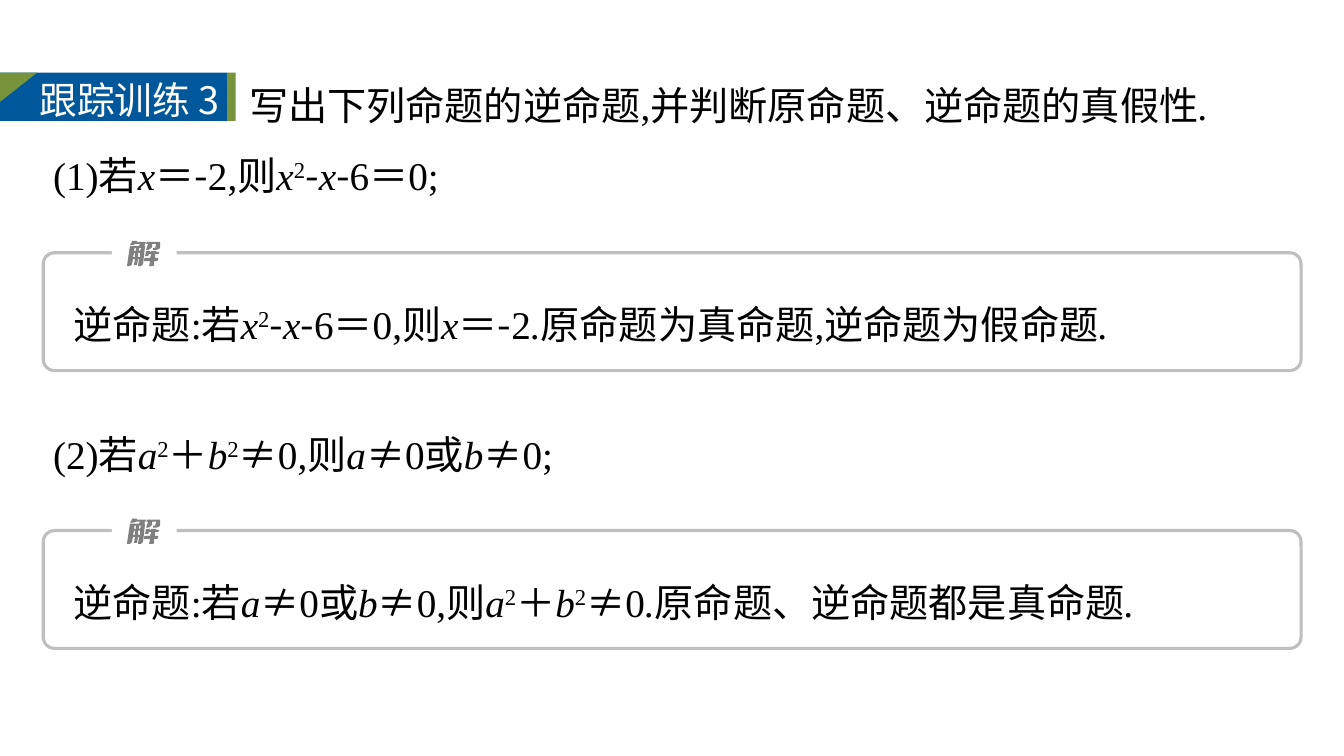
import itertools
from dataclasses import dataclass

import pptx
import pptx.dml.color
import pptx.enum.shapes
import pptx.enum.text
import pptx.oxml.ns
import pptx.util
from pptx.util import Cm

SHAPES = pptx.enum.shapes.MSO_SHAPE
CJK_FONT = "Noto Sans CJK SC"
LATIN_FONT = "Times New Roman"
BLUE, GREEN, WHITE, BLACK = "00589A", "77933C", "FFFFFF", "000000"
FRAME_GRAY, GLYPH_GRAY = "BFBFBF", "808080"

JIE_STROKES = [
    [(11, 12), (11, 16), (13, 16), (13, 12)],
    [(7, 12), (6, 16), (8, 16), (8, 12)],
    [(25, 10), (29, 10), (29, 11), (32, 11), (32, 12), (31, 13), (28, 13),
     (28, 17), (31, 17), (31, 19), (30, 20), (27, 20), (27, 24), (26, 25),
     (22, 25), (23, 20), (17, 20), (17, 18), (18, 17), (23, 17), (24, 13),
     (22, 13), (21, 15), (18, 15), (19, 10), (23, 10), (23, 11), (24, 11),
     (24, 10)],
    [(12, 7), (12, 10), (13, 10), (14, 7)],
    [(20, 1), (33, 1), (33, 6), (32, 8), (29, 9), (26, 9), (26, 7), (28, 7),
     (29, 3), (25, 3), (25, 6), (23, 8), (21, 9), (19, 9), (21, 3), (19, 3)],
    [(5, 0), (10, 0), (10, 1), (19, 1), (17, 5), (18, 5), (16, 23), (15, 24),
     (14, 25), (11, 25), (12, 18), (11, 18), (10, 24), (7, 24), (8, 18),
     (6, 18), (5, 23), (4, 24), (3, 25), (0, 25), (3, 5), (8, 5), (7, 10),
     (9, 10), (9, 7), (8, 7), (8, 5), (12, 5), (13, 3), (9, 3), (6, 4),
     (3, 4), (5, 1)],
]


@dataclass(frozen=True)
class Box:
    left: float
    top: float
    width: float
    height: float

    def lengths(self) -> tuple:
        return Cm(self.left), Cm(self.top), Cm(self.width), Cm(self.height)


@dataclass(frozen=True)
class Passage:
    box: Box
    lines: tuple
    first_indent: float = 0


@dataclass(frozen=True)
class BannerPart:
    preset: object
    box: Box
    color: str


@dataclass(frozen=True)
class Solution:
    top: float
    text: str


QUESTIONS = [
    Passage(Box(1.09, 1.32, 31.7, 3.63),
            ("写出下列命题的逆命题,并判断原命题、逆命题的真假性.",
             "(1)若x＝-2,则x²-x-6＝0;"), 4.94),
    Passage(Box(1.09, 10.13, 31.7, 1.85), ("(2)若a²＋b²≠0,则a≠0或b≠0;",)),
]
BANNER = [
    BannerPart(SHAPES.RECTANGLE, Box(0, 1.83, 5.74, 1.22), BLUE),
    BannerPart(SHAPES.RIGHT_TRIANGLE, Box(0, 1.83, 0.94, 0.74), GREEN),
    BannerPart(SHAPES.RECTANGLE, Box(5.74, 1.83, 0.2, 1.22), GREEN),
]
SOLUTIONS = [
    Solution(6.37, "逆命题:若x²-x-6＝0,则x＝-2.原命题为真命题,逆命题为假命题."),
    Solution(13.37, "逆命题:若a≠0或b≠0,则a²＋b²≠0.原命题、逆命题都是真命题."),
]


def rgb(value: str):
    return pptx.dml.color.RGBColor.from_string(value)


def fill_shape(shape, color: str) -> None:
    shape.shadow.inherit = False
    shape.fill.solid()
    shape.fill.fore_color.rgb = rgb(color)
    shape.line.fill.background()


def format_run(run, size: float, color: str, font: str) -> None:
    run.font.size = pptx.util.Pt(size)
    run.font.color.rgb = rgb(color)
    run.font.name = font
    east_asian = run._r.get_or_add_rPr().makeelement(
        pptx.oxml.ns.qn("a:ea"), {"typeface": CJK_FONT})
    run.font._element.find(pptx.oxml.ns.qn("a:latin")).addnext(east_asian)


def math_style(char: str) -> str:
    if char in "xab.":
        return "italic"
    if char in "＝＋≠-":
        return "operator"
    return "power" if char == "²" else "plain"


def write_math(paragraph, text: str) -> None:
    paragraph.line_spacing = 1.5
    for style, chars in itertools.groupby(text, math_style):
        run = paragraph.add_run()
        run.text = "".join(chars).replace("²", "2")
        format_run(run, 28, BLACK,
                   CJK_FONT if style == "operator" else LATIN_FONT)
        run.font.italic = style == "italic"
        if style == "power":
            run._r.get_or_add_rPr().set("baseline", "30000")


def add_text_frame(slide, box: Box):
    frame = slide.shapes.add_textbox(*box.lengths()).text_frame
    frame.word_wrap = True
    frame.auto_size = pptx.enum.text.MSO_AUTO_SIZE.SHAPE_TO_FIT_TEXT
    return frame


def draw_passage(slide, passage: Passage) -> None:
    frame = add_text_frame(slide, passage.box)
    for index, line in enumerate(passage.lines):
        paragraph = frame.add_paragraph() if index else frame.paragraphs[0]
        write_math(paragraph, line)
    if passage.first_indent:
        properties = frame.paragraphs[0]._p.get_or_add_pPr()
        properties.set("marL", "0")
        properties.set("indent", str(Cm(passage.first_indent)))


def draw_banner(slide) -> None:
    for part in BANNER:
        shape = slide.shapes.add_shape(part.preset, *part.box.lengths())
        fill_shape(shape, part.color)
        if part.preset == SHAPES.RIGHT_TRIANGLE:
            shape._element.spPr.get_or_add_xfrm().set("flipV", "1")
    heading = add_text_frame(slide, Box(0.74, 1.8, 5.41, 1.42))
    heading.text = "跟踪训练 3"
    format_run(heading.paragraphs[0].runs[0], 27, WHITE, CJK_FONT)


def draw_jie(slide, left: float, top: float) -> None:
    first, *others = JIE_STROKES
    builder = slide.shapes.build_freeform(*first[0], scale=Cm(0.0254))
    builder.add_line_segments(first[1:], close=True)
    for stroke in others:
        builder.move_to(*stroke[0])
        builder.add_line_segments(stroke[1:], close=True)
    fill_shape(builder.convert_to_shape(Cm(left), Cm(top)), GLYPH_GRAY)


def draw_solution(slide, solution: Solution) -> None:
    border = slide.shapes.add_shape(
        SHAPES.ROUNDED_RECTANGLE,
        *Box(1.09, solution.top, 31.7, 2.97).lengths())
    border.adjustments[0] = 0.096
    border.shadow.inherit = False
    border.fill.background()
    border.line.color.rgb = rgb(FRAME_GRAY)
    border.line.width = pptx.util.Pt(2.25)
    gap = slide.shapes.add_shape(
        SHAPES.RECTANGLE,
        *Box(2.82, solution.top - 0.32, 1.63, 0.61).lengths())
    fill_shape(gap, WHITE)
    draw_jie(slide, 3.2, solution.top - 0.3)
    draw_passage(slide, Passage(
        Box(1.6, solution.top + 0.48, 29.92, 1.85), (solution.text,)))


def main() -> None:
    deck = pptx.Presentation()
    deck.slide_width, deck.slide_height = Cm(33.87), Cm(19.05)
    slide = deck.slides.add_slide(deck.slide_layouts[6])
    draw_banner(slide)
    for question, solution in zip(QUESTIONS, SOLUTIONS):
        draw_passage(slide, question)
        draw_solution(slide, solution)
    deck.save("out.pptx")


if __name__ == "__main__":
    main()
